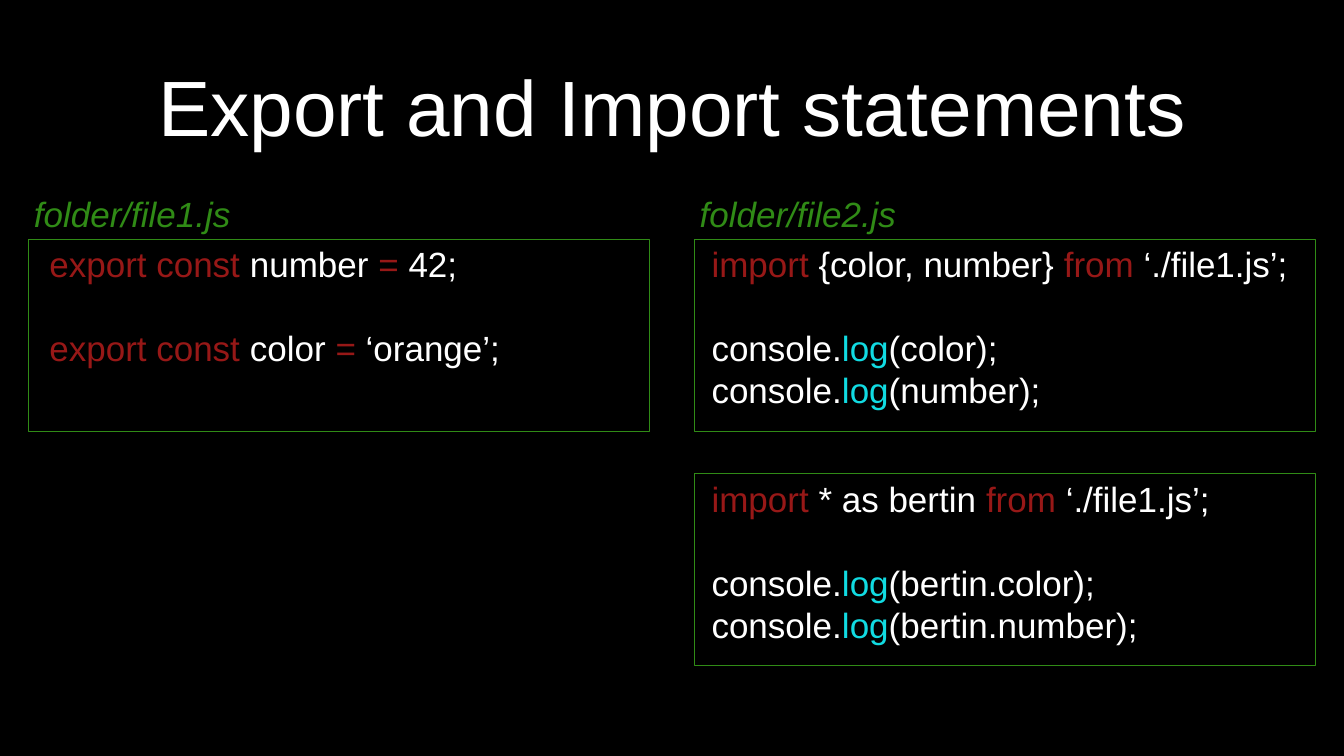
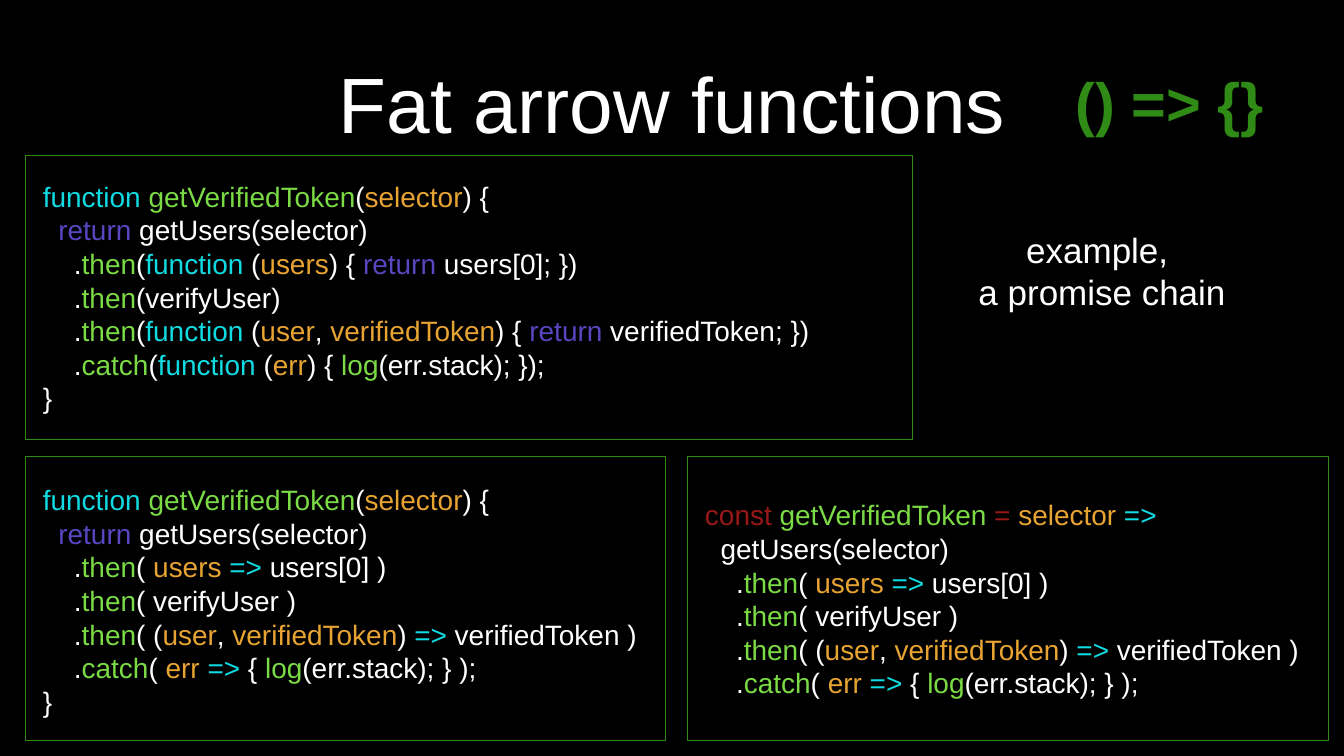
import pptx
import pptx.dml.color
import pptx.enum.shapes
import pptx.enum.text
import pptx.util
from dataclasses import dataclass, field

Inches = pptx.util.Inches
Pt = pptx.util.Pt
Align = pptx.enum.text.PP_ALIGN


@dataclass(frozen=True)
class Theme:
    font: str = "Arial"
    title_size: int = 112
    symbol_size: int = 85
    text_size: int = 50
    small_code_size: int = 40
    line_ratio: float = 1.2
    inset: float = 0.08
    colours: dict = field(default_factory=lambda: {
        "black": "000000", "white": "FFFFFF", "frame": "308B16",
        "red": "971817", "cyan": "11DBE2", "green": "7BDB45",
        "orange": "E8A432", "violet": "5747C1"})

    def colour(self, name):
        return pptx.dml.color.RGBColor.from_string(self.colours[name])


THEME = Theme()

# Code text: |colour:words| marks a coloured run, an empty line marks a gap
EXPORT_CODE = """|red:export const| number |red:=| 42;

|red:export const| color |red:=| ‘orange’;"""

IMPORT_NAMES_CODE = """|red:import| {color, number} |red:from| ‘./file1.js’;

console.|cyan:log|(color);
console.|cyan:log|(number);"""

IMPORT_ALL_CODE = """|red:import| * as bertin |red:from| ‘./file1.js’;

console.|cyan:log|(bertin.color);
console.|cyan:log|(bertin.number);"""

FUNCTION_OPENING = """|cyan:function ||green:getVerifiedToken|(|orange:selector|) {
  |violet:return| getUsers(selector)
"""

CALLBACK_CHAIN = """    .|green:then|(|cyan:function| (|orange:users|) { |violet:return| users[0]; })
    .|green:then|(verifyUser)
    .|green:then|(|cyan:function| (|orange:user|, |orange:verifiedToken|) { |violet:return| verifiedToken; })
    .|green:catch|(|cyan:function| (|orange:err|) { |green:log|(err.stack); });"""

ARROW_CHAIN = """    .|green:then|( |orange:users ||cyan:=>| users[0] )
    .|green:then|( verifyUser )
    .|green:then|( (|orange:user|, |orange:verifiedToken|) |cyan:=>| verifiedToken )
    .|green:catch|( |orange:err ||cyan:=>| { |green:log|(err.stack); } );"""

CALLBACK_CODE = FUNCTION_OPENING + CALLBACK_CHAIN + "\n}"
ARROW_CODE = FUNCTION_OPENING + ARROW_CHAIN + "\n}"
CONST_CODE = """|red:const ||green:getVerifiedToken ||red:= ||orange:selector ||cyan:=>|
  getUsers(selector)
""" + ARROW_CHAIN


def style_paragraph(paragraph, size, colour="white", bold=False, italic=False):
    paragraph.font.name = THEME.font
    paragraph.font.size = Pt(size)
    paragraph.font.bold = bold
    paragraph.font.italic = italic
    paragraph.font.color.rgb = THEME.colour(colour)


def prepare_frame(text_frame, wrap=True):
    text_frame.word_wrap = wrap
    text_frame.vertical_anchor = pptx.enum.text.MSO_ANCHOR.MIDDLE
    for side in ("left", "top", "right", "bottom"):
        setattr(text_frame, f"margin_{side}", Inches(THEME.inset))


def add_title(slide, text, box):
    title = slide.shapes.title
    title.left, title.top, title.width, title.height = map(Inches, box)
    prepare_frame(title.text_frame)
    title.text_frame.auto_size = pptx.enum.text.MSO_AUTO_SIZE.NONE
    title.text_frame.text = text
    paragraph = title.text_frame.paragraphs[0]
    paragraph.alignment = Align.CENTER
    style_paragraph(paragraph, THEME.title_size)


def add_text(slide, text, box, size, align=Align.CENTER, wrap=True, **style):
    text_box = slide.shapes.add_textbox(*map(Inches, box))
    text_frame = text_box.text_frame
    prepare_frame(text_frame, wrap)
    text_frame.auto_size = pptx.enum.text.MSO_AUTO_SIZE.SHAPE_TO_FIT_TEXT
    line_height = Pt(size * THEME.line_ratio)
    paragraph, gap = None, False
    for line in text.split("\n"):
        if not line:
            gap = True
            continue
        paragraph = text_frame.add_paragraph() if paragraph else text_frame.paragraphs[0]
        paragraph.alignment = align
        paragraph.line_spacing = line_height
        if gap:
            paragraph.space_before = line_height
            gap = False
        style_paragraph(paragraph, size, **style)
        for index, part in enumerate(line.split("|")):
            if not part:
                continue
            run = paragraph.add_run()
            if index % 2:
                colour, _, part = part.partition(":")
                run.font.color.rgb = THEME.colour(colour)
            run.text = part


def add_code_panel(slide, code, box, text_box, size):
    """Draw a framed panel; text_box is relative to the panel's corner."""
    panel = slide.shapes.add_shape(
        pptx.enum.shapes.MSO_SHAPE.RECTANGLE, *map(Inches, box))
    panel.shadow.inherit = False
    panel.fill.solid()
    panel.fill.fore_color.rgb = THEME.colour("black")
    panel.line.color.rgb = THEME.colour("frame")
    panel.line.width = Pt(1)
    left, top, width, height = text_box
    add_text(slide, code, (box[0] + left, box[1] + top, width, height),
             size, Align.LEFT)


def add_file_label(slide, name, left, panel_top):
    add_text(slide, name, (left, panel_top - 1, 4.11, 0.99), THEME.text_size,
             wrap=False, colour="frame", italic=True)


def build_modules_slide(slide):
    add_title(slide, "Export and Import statements", (2.88, 0.42, 20.91, 3.32))
    left, right, top = 0.57, 13.78, 4.75
    panel_size = (12.32, 3.81)
    row_step = 4.65
    import_text = (0.26, -0.01, 11.8, 3.49)

    # Exporting file on the left, two ways to import on the right
    add_code_panel(slide, EXPORT_CODE, (left, top, *panel_size),
                   (0.33, -0.01, 10.25, 2.66), THEME.text_size)
    for row, code in enumerate((IMPORT_NAMES_CODE, IMPORT_ALL_CODE)):
        add_code_panel(slide, code, (right, top + row * row_step, *panel_size),
                       import_text, THEME.text_size)

    add_file_label(slide, "folder/file2.js", right, top)
    add_file_label(slide, "folder/file1.js", left, top)


def build_arrow_slide(slide):
    add_title(slide, "Fat arrow functions", (4.8, 0.37, 17.07, 3.32))
    left, right, height = 0.5, 13.64, 5.63
    upper, lower = 3.09, 9.06

    # Callback version above, two arrow versions below
    panels = (
        (CALLBACK_CODE, left, upper, 17.6, 0.39, 16.81),
        (CONST_CODE, right, lower, 12.71, 0.41, 12.18),
        (ARROW_CODE, left, lower, 12.71, 0.44, 12.18),
    )
    for code, panel_left, panel_top, width, text_top, text_width in panels:
        add_code_panel(slide, code, (panel_left, panel_top, width, height),
                       (0.27, text_top, text_width, 4.82), THEME.small_code_size)

    # Caption and arrow symbol
    add_text(slide, "example, \na promise chain", (19.3, 4.45, 5.14, 1.82),
             THEME.text_size, wrap=False)
    add_text(slide, "() => {}", (20.46, 1.23, 5.5, 1.57), THEME.symbol_size,
             colour="frame", bold=True)


def main():
    presentation = pptx.Presentation()
    presentation.slide_width = Inches(26.67)
    presentation.slide_height = Inches(15)
    background = presentation.slide_master.background.fill
    background.solid()
    background.fore_color.rgb = THEME.colour("black")

    title_only = presentation.slide_layouts.get_by_name("Title Only")
    for build in (build_modules_slide, build_arrow_slide):
        build(presentation.slides.add_slide(title_only))
    presentation.save("out.pptx")


if __name__ == "__main__":
    main()
